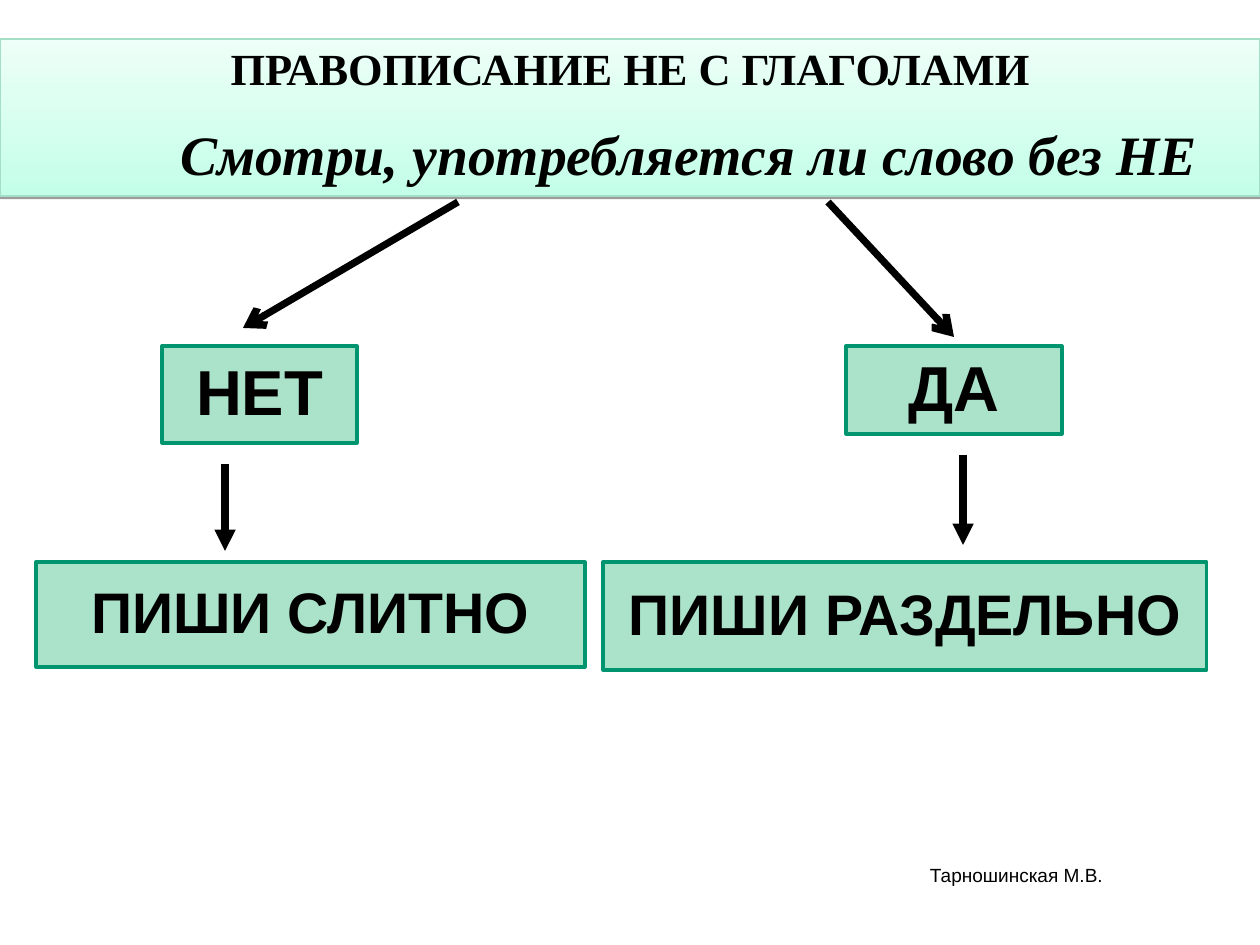
"""Build the slide on spelling НЕ with verbs."""
from lxml.etree import SubElement
from pptx import Presentation
from pptx.dml.color import RGBColor
from pptx.enum.shapes import MSO_CONNECTOR, MSO_SHAPE
from pptx.enum.text import MSO_ANCHOR, MSO_AUTO_SIZE, PP_ALIGN
from pptx.oxml.ns import qn
from pptx.util import Pt

SCALE = 8000
COLOURS = {
    "ink": "000000",
    "banner_low": "C3FFE8",
    "banner_high": "EDFFF8",
    "banner_line": "A5DEC6",
    "box": "AAE2CA",
    "box_line": "00956F",
}
BOXES = [
    ("НЕТ", (162, 346, 195, 97), 40),
    ("ДА", (846, 346, 216, 88), 40),
    ("ПИШИ СЛИТНО", (36, 562, 549, 105), 36),
    ("ПИШИ РАЗДЕЛЬНО", (603, 562, 604, 108), 36),
]
ARROWS = [
    ((458, 202), (243, 328), "arrow"),
    ((828, 202), (954, 337), "arrow"),
    ((225, 464), (225, 551), "triangle"),
    ((963, 455), (963, 545), "triangle"),
]


def px(*lengths):
    return [length * SCALE for length in lengths]


def colour(name):
    return RGBColor.from_string(COLOURS[name])


def set_frame(frame, anchor=MSO_ANCHOR.TOP, wrap=True, across=12, down=7):
    frame.word_wrap = wrap
    frame.auto_size = MSO_AUTO_SIZE.NONE
    frame.vertical_anchor = anchor
    frame.margin_left = frame.margin_right = across * SCALE
    frame.margin_top = frame.margin_bottom = down * SCALE


def write(para, text, size, font="Arial", bold=False, italic=False,
          align=PP_ALIGN.LEFT, before=0, indent=0):
    properties = para._p.get_or_add_pPr()
    properties.set("marL", str(indent * SCALE))
    properties.set("indent", "0")
    para.alignment = align
    para.line_spacing = 0.93
    para.space_before = Pt(before)
    span = para.add_run()
    span.text = text
    span.font.name = font
    span.font.size = Pt(size)
    span.font.bold = bold
    span.font.italic = italic
    span.font.color.rgb = colour("ink")


def add_banner(page):
    banner = page.shapes.title
    banner.left, banner.top, banner.width, banner.height = px(0, 39, 1260, 157)
    banner.fill.gradient()
    banner.fill.gradient_angle = 90
    for stop, name in zip(banner.fill.gradient_stops, ("banner_low", "banner_high")):
        stop.color.rgb = colour(name)
    banner.line.color.rgb = colour("banner_line")
    banner.line.width = Pt(0.75)
    banner.shadow.inherit = False
    effects = banner._element.spPr.find(qn("a:effectLst"))
    shadow = SubElement(effects, qn("a:outerShdw"), blurRad="0", dist="20000",
                        dir="5400000", rotWithShape="0")
    tint = SubElement(shadow, qn("a:srgbClr"), val=COLOURS["ink"])
    SubElement(tint, qn("a:alpha"), val="38000")
    frame = banner.text_frame
    set_frame(frame)
    write(frame.paragraphs[0], "ПРАВОПИСАНИЕ НЕ С ГЛАГОЛАМИ", 28,
          font="Times New Roman", bold=True, align=PP_ALIGN.CENTER)
    write(frame.add_paragraph(), "Смотри, употребляется ли слово без НЕ", 35,
          font="Times New Roman", bold=True, italic=True, before=19, indent=168)


def add_box(page, text, place, size):
    box = page.shapes.add_shape(MSO_SHAPE.RECTANGLE, *px(*place))
    box.shadow.inherit = False
    box.fill.solid()
    box.fill.fore_color.rgb = colour("box")
    box.line.color.rgb = colour("box_line")
    box.line.width = Pt(2)
    set_frame(box.text_frame, anchor=MSO_ANCHOR.MIDDLE)
    write(box.text_frame.paragraphs[0], text, size, bold=True, align=PP_ALIGN.CENTER)


def add_arrow(page, start, end, head):
    arrow = page.shapes.add_connector(MSO_CONNECTOR.STRAIGHT, *px(*start, *end))
    arrow.line.color.rgb = colour("ink")
    arrow.line.width = Pt(4.5)
    SubElement(arrow.line._get_or_add_ln(), qn("a:tailEnd"), type=head)
    SubElement(arrow._element.spPr, qn("a:effectLst"))


def add_author(page):
    author = page.shapes.add_textbox(*px(919, 860, 197, 33))
    set_frame(author.text_frame, wrap=False, across=11, down=6)
    write(author.text_frame.paragraphs[0], "Тарношинская М.В.", 12)


def main():
    deck = Presentation()
    deck.slide_width, deck.slide_height = px(1260, 945)
    page = deck.slides.add_slide(deck.slide_layouts.get_by_name("Title Only"))
    add_banner(page)
    for text, place, size in BOXES:
        add_box(page, text, place, size)
    for start, end, head in ARROWS:
        add_arrow(page, start, end, head)
    add_author(page)
    deck.save("out.pptx")


if __name__ == "__main__":
    main()
